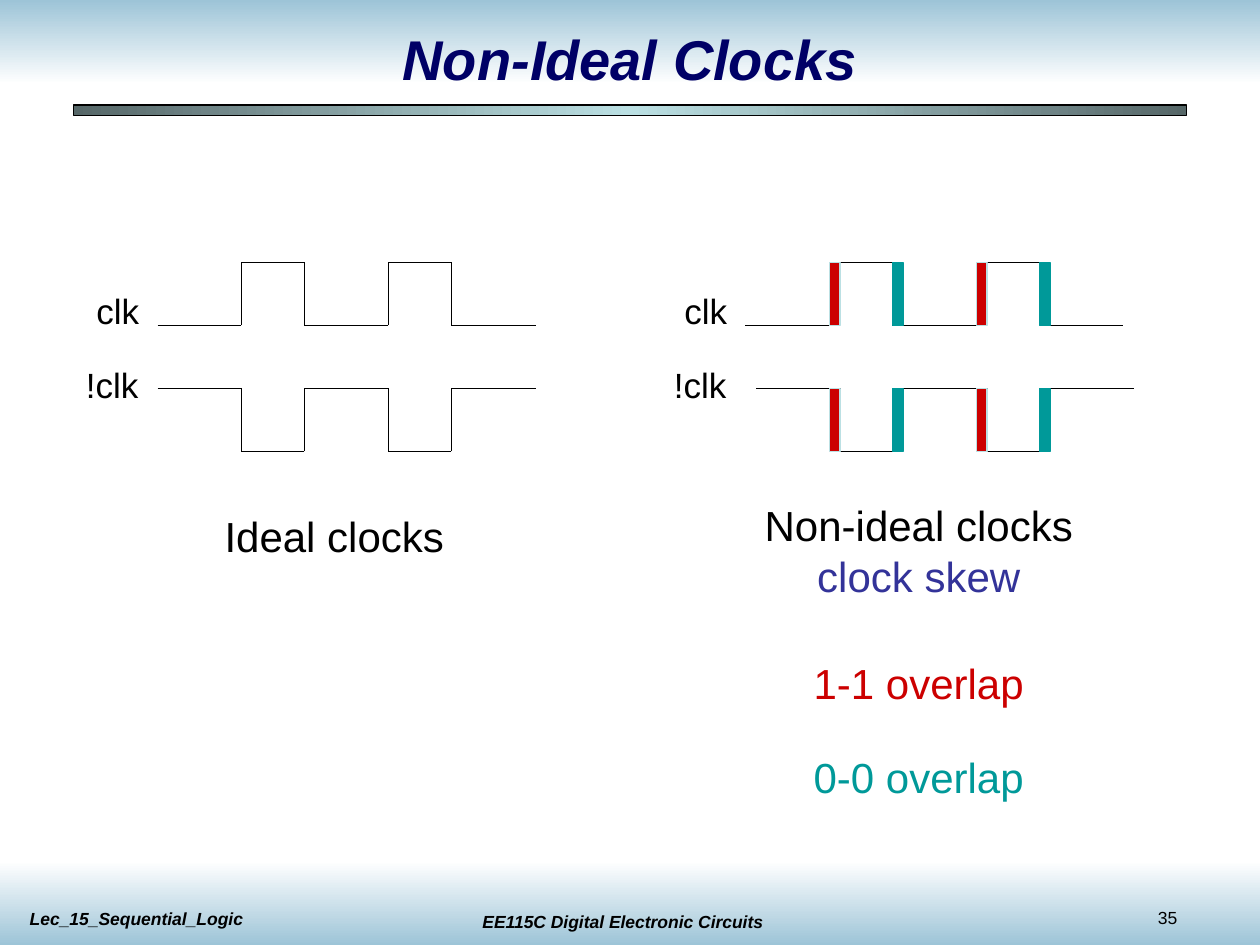
from itertools import pairwise, product
from typing import NamedTuple

from lxml.etree import SubElement
from pptx import Presentation
from pptx.dml.color import RGBColor
from pptx.enum.shapes import MSO_CONNECTOR, MSO_SHAPE
from pptx.enum.text import MSO_ANCHOR, MSO_AUTO_SIZE, PP_ALIGN
from pptx.oxml import parse_xml
from pptx.oxml.ns import nsdecls, qn
from pptx.util import Emu, Inches, Pt

COLORS = {
    "black": "000000", "white": "FFFFFF", "title": "000066",
    "band": "9DC4D7", "bar_edge": "566768", "pale": "BBE0E3",
    "skew": "333399", "high": "CC0000", "low": "009999",
}
FONT = "Arial"
COLS, ROWS = 120, 90  # grid cells of 1/12 inch
CELL = Inches(10) / COLS
EDGES = (15, 23, 29, 37, 43, 51)  # start, rise, fall, rise, fall, end
CLK_TOP, INV_TOP, SWING = 25, 37, 6
RIGHT = 56  # offset of the non-ideal diagram
SKEW = 1


class Box(NamedTuple):
    col: float
    row: float
    width: float
    height: float


class Label(NamedTuple):
    box: Box
    lines: tuple[tuple[str, str], ...]  # text and colour name
    size: int = 24
    align: PP_ALIGN = PP_ALIGN.LEFT
    wrap: bool = True
    emphasis: bool = False


def cells(*values: float) -> list[Emu]:
    return [Emu(round(v * CELL)) for v in values]


def rgb(name: str) -> RGBColor:
    return RGBColor.from_string(COLORS[name])


def style_font(font, size: int, color: str, emphasis: bool) -> None:
    font.name, font.size = FONT, Pt(size)
    font.bold = font.italic = emphasis
    font.color.rgb = rgb(color)


def add_label(shapes, label: Label) -> None:
    tf = shapes.add_textbox(*cells(*label.box)).text_frame
    tf.word_wrap = label.wrap
    tf.auto_size = MSO_AUTO_SIZE.SHAPE_TO_FIT_TEXT
    tf.text = "\n".join(text for text, _ in label.lines)
    for p, (_, color) in zip(tf.paragraphs, label.lines):
        p.alignment = label.align
        style_font(p.runs[0].font, label.size, color, label.emphasis)


def add_rect(shapes, box: Box, line: str | None = None, width: float = 1):
    sp = shapes.add_shape(MSO_SHAPE.RECTANGLE, *cells(*box))
    sp.shadow.inherit = False
    if line:
        sp.line.color.rgb = rgb(line)
        sp.line.width = Pt(width)
    else:
        sp.line.fill.background()
    return sp


def fill_gradient(sp, names: tuple[str, ...], angle: int) -> None:
    """Spread the named colours evenly along the angle, in degrees."""
    step = 100000 // (len(names) - 1)
    stops = "".join(
        f'<a:gs pos="{i * step}"><a:srgbClr val="{COLORS[name]}"/></a:gs>'
        for i, name in enumerate(names))
    grad = parse_xml(
        f'<a:gradFill {nsdecls("a")} rotWithShape="1"><a:gsLst>{stops}</a:gsLst>'
        f'<a:lin ang="{angle * 60000}" scaled="0"/></a:gradFill>')
    sp.element.spPr.find(qn("a:prstGeom")).addnext(grad)


def add_wave(shapes, edges: list[float], top: float, inverted: bool) -> None:
    """Draw a square wave that changes level at each inner edge."""
    levels = (top, top + SWING) if inverted else (top + SWING, top)
    points = []
    for i, (left, right) in enumerate(pairwise(edges)):
        points += [(left, levels[i % 2]), (right, levels[i % 2])]
    for start, end in pairwise(points):
        cxn = shapes.add_connector(MSO_CONNECTOR.STRAIGHT, *cells(*start, *end))
        cxn.line.color.rgb = rgb("black")
        cxn.line.width = Pt(1)
        SubElement(cxn.element.spPr, qn("a:effectLst"))


def add_clocks(slide, offset: float, skew: float, caption: Label) -> None:
    shapes = slide.shapes.add_group_shape().shapes
    add_wave(shapes, [e + offset for e in EDGES], CLK_TOP, False)
    add_wave(shapes, [e + offset + skew for e in EDGES], INV_TOP, True)
    for text, box in (("clk", Box(8 + offset, 27, 6.6, 5.3)),
                      ("!clk", Box(7 + offset, 34, 7.8, 5.3))):
        add_label(shapes, Label(box, ((text, "black"),), 20, wrap=False))
    add_label(shapes, caption)


def add_overlap(slide, edges: tuple[int, ...], text: str, row: float,
                color: str, line: str) -> None:
    shapes = slide.shapes.add_group_shape().shapes
    for edge, top in product(edges, (CLK_TOP, INV_TOP)):
        sp = add_rect(shapes, Box(edge + RIGHT, top, SKEW, SWING), line)
        sp.fill.solid()
        sp.fill.fore_color.rgb = rgb(color)
    add_label(shapes, Label(Box(72, row, 31, 6), ((text, color),),
                            align=PP_ALIGN.CENTER))


def add_frame(slide) -> None:
    """Draw the bands, the footer and the bar below the title."""
    for row, names in ((0, ("band", "white")), (82, ("white", "band"))):
        fill_gradient(add_rect(slide.shapes, Box(0, row, COLS, 8)), names, 90)
    bar = add_rect(slide.shapes, Box(7, 10, 106, 1), "black", 0.75)
    fill_gradient(bar, ("bar_edge", "pale", "bar_edge"), 180)
    for label in (
        Label(Box(42.3, 86.2, 34, 3.2),
              (("EE115C Digital Electronic Circuits", "black"),),
              10, PP_ALIGN.CENTER, emphasis=True),
        Label(Box(109.1, 85.8, 10, 3.2), (("35", "black"),), 10, wrap=False),
        Label(Box(1.65, 85.85, 34, 3.2), (("Lec_15_Sequential_Logic", "black"),),
              10, emphasis=True),
    ):
        add_label(slide.shapes, label)


def set_title(slide, text: str) -> None:
    title = slide.shapes.title
    title.left, title.top, title.width, title.height = cells(9, 2, 102, 7)
    tf = title.text_frame
    tf.text = text
    tf.vertical_anchor = MSO_ANCHOR.MIDDLE
    tf.auto_size = MSO_AUTO_SIZE.NONE
    p = tf.paragraphs[0]
    p.alignment = PP_ALIGN.CENTER
    style_font(p.runs[0].font, 32, "title", True)
    slide.shapes._spTree.append(title.element)  # in front of the top band


def main() -> None:
    prs = Presentation()
    prs.slide_width, prs.slide_height = cells(COLS, ROWS)
    slide = prs.slides.add_slide(prs.slide_layouts[5])
    add_frame(slide)
    set_title(slide, "Non-Ideal Clocks")
    add_clocks(slide, 0, 0, Label(Box(20.2, 48, 24.8, 6),
                                  (("Ideal clocks", "black"),)))
    add_clocks(slide, RIGHT, SKEW, Label(
        Box(70, 47, 35, 10.8),
        (("Non-ideal clocks", "black"), ("clock skew", "skew")),
        align=PP_ALIGN.CENTER))
    add_overlap(slide, EDGES[1:5:2], "1-1 overlap", 62, "high", "pale")
    add_overlap(slide, EDGES[2:5:2], "0-0 overlap", 71, "low", "low")
    prs.save("out.pptx")


if __name__ == "__main__":
    main()
